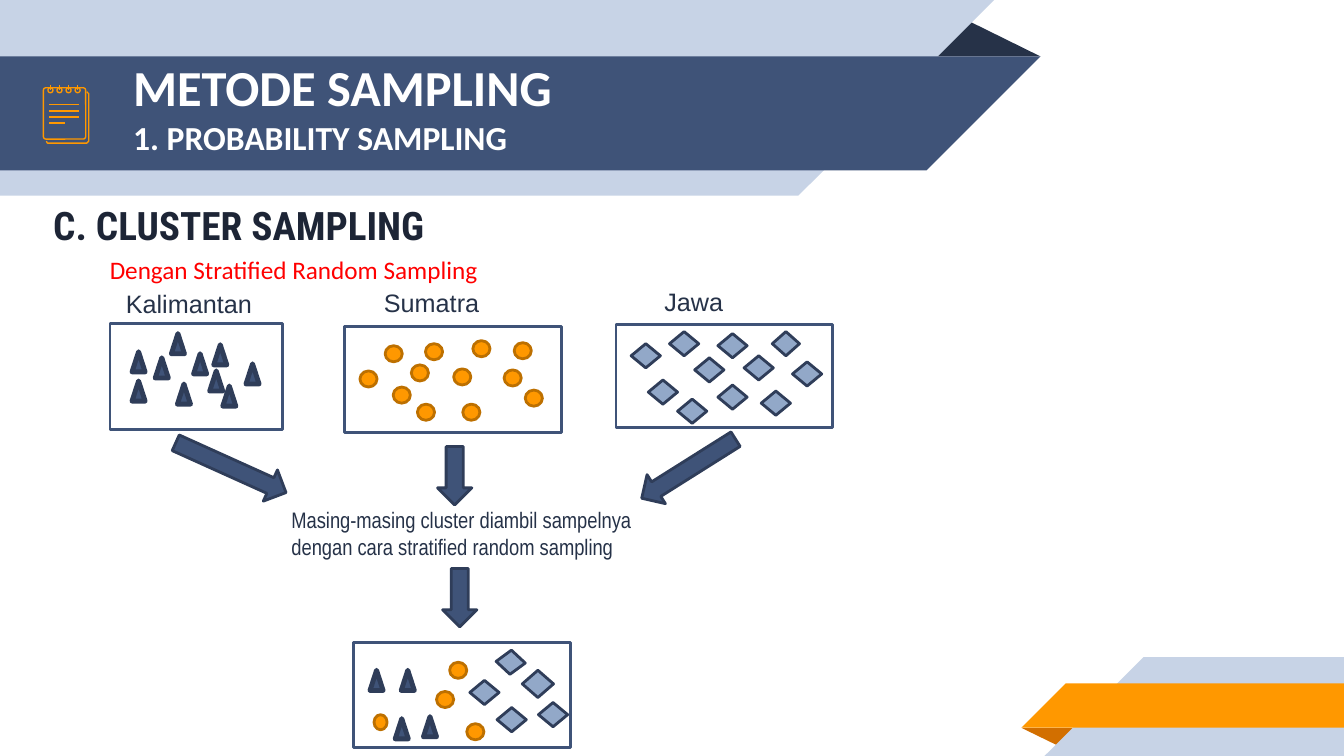
import pptx
import pptx.util
from pptx.dml.color import RGBColor
from pptx.enum.shapes import MSO_CONNECTOR, MSO_SHAPE
from pptx.enum.text import MSO_ANCHOR
from pptx.util import Inches, Pt
from lxml import etree

NAVY = RGBColor(0x3F, 0x53, 0x78)
NAVY_EDGE = RGBColor(0x2F, 0x3D, 0x59)
INK = RGBColor(0x26, 0x32, 0x48)
HEADING_INK = RGBColor(0x1D, 0x25, 0x36)
PALE = RGBColor(0xC7, 0xD3, 0xE6)
STEEL = RGBColor(0x92, 0xA8, 0xC8)
ORANGE = RGBColor(0xFF, 0x98, 0x00)
ORANGE_EDGE = RGBColor(0xBD, 0x70, 0x00)
ORANGE_FOLD = RGBColor(0xD2, 0x6F, 0x00)
RED = RGBColor(0xFF, 0x00, 0x00)
WHITE = RGBColor(0xFF, 0xFF, 0xFF)

TITLE = [("METODE SAMPLING", 36), ("1. PROBABILITY SAMPLING", 24)]
HEADING = "C. CLUSTER SAMPLING"
SUBHEADING = "Dengan Stratified Random Sampling"
EXPLANATION = ("Masing-masing cluster diambil sampelnya "
               "dengan cara stratified random sampling")

# Ribbons: colour and corner points
RIBBONS = [
    (INK, [(9.18, 0.56), (9.55, 0.18), (10.32, 0.56)]),
    (PALE, [(0, 0), (9.86, 0), (7.92, 1.94), (0, 1.94)]),
    (NAVY, [(0, 0.56), (10.32, 0.56), (9.19, 1.69), (0, 1.69)]),
    (ORANGE_FOLD, [(10.13, 7.22), (10.7, 7.22), (10.52, 7.41)]),
    (PALE, [(11.34, 6.52), (13.33, 6.52), (13.33, 7.5), (10.36, 7.5)]),
    (ORANGE, [(10.57, 6.78), (13.33, 6.78), (13.33, 7.22), (10.13, 7.22)]),
]

# Member kinds: shape, fill, edge, edge width, usual size
MEMBER_KINDS = {
    "triangle": (MSO_SHAPE.ISOSCELES_TRIANGLE, NAVY, NAVY_EDGE, 3.5, (0.13, 0.2)),
    "circle": (MSO_SHAPE.OVAL, ORANGE, ORANGE_EDGE, 2, (0.17, 0.16)),
    "diamond": (MSO_SHAPE.DIAMOND, STEEL, NAVY_EDGE, 2, (0.29, 0.24)),
}

# Clusters: label, label place, frame, members as (left, top[, width, height[, turn]])
CLUSTERS = [
    ("Kalimantan", (1.15, 2.81), (1.09, 3.21, 1.71, 1.05), {
        "triangle": [(1.76, 3.81), (1.92, 3.51), (2.12, 3.42), (1.31, 3.78),
                     (1.7, 3.31), (2.21, 3.83), (2.44, 3.61), (1.54, 3.55),
                     (2.08, 3.68), (1.31, 3.49)]}),
    ("Sumatra", (3.71, 2.8), (3.42, 3.24, 2.15, 1.05), {
        "circle": [(4.5, 3.66), (4.22, 3.41), (5, 3.67), (4.69, 3.38),
                   (5.1, 3.4), (3.9, 3.84), (3.57, 3.68), (3.82, 3.43),
                   (4.08, 3.62), (5.21, 3.87), (4.14, 4.01), (4.59, 4.01)]}),
    ("Jawa", (6.49, 2.79), (6.11, 3.22, 2.15, 1.02), {
        "diamond": [(6.64, 3.29), (7.12, 3.82), (7.55, 3.88), (6.26, 3.41),
                    (6.43, 3.77), (6.89, 3.55), (6.72, 3.96), (7.38, 3.53),
                    (7.12, 3.31), (7.66, 3.29, 0.27, 0.24), (7.86, 3.59)]}),
    (None, None, (3.51, 6.37, 2.15, 1.05), {
        "triangle": [(3.98, 6.65), (3.92, 7.13), (3.67, 6.65), (4.2, 7.11)],
        "circle": [(4.63, 7.18), (4.46, 6.57), (4.33, 6.86),
                   (3.71, 7.09, 0.13, 0.15)],
        "diamond": [(4.93, 7.02), (4.66, 6.75), (5.18, 6.65, 0.31, 0.27),
                    (5.34, 6.97), (4.92, 6.45, 0.29, 0.24, 3.3)]}),
]

# Arrows: box and turn
ARROWS = [
    ((1.69, 4.47, 1.2, 0.34), 24.3),
    ((4.22, 4.55, 0.58, 0.34), 90),
    ((6.28, 4.48, 1.1, 0.34), 147.8),
    ((4.27, 5.76, 0.58, 0.34), 90),
]

# Notepad icon
BACK_PAGE = [(0.46, 1.4), (0.47, 1.42), (0.49, 1.42), (0.86, 1.42),
             (0.88, 1.4), (0.88, 0.93), (0.86, 0.91)]
FRONT_PAGE = (0.43, 0.87, 0.42, 0.51)
WRITING_ENDS = [0.78, 0.78, 0.78, 0.64]
RING_COUNT, RING_GAP, RING_SIZE = 4, 0.09, 0.05
ICON_LINE = 0.96

prs = pptx.Presentation()
prs.slide_width, prs.slide_height = Inches(13.33), Inches(7.5)
slide = prs.slides.add_slide(prs.slide_layouts[6])
shapes = slide.shapes


def paint(shape, fill=None, edge=None, width=1, turn=0):
    shape.shadow.inherit = False
    if fill is None:
        shape.fill.background()
    else:
        shape.fill.solid()
        shape.fill.fore_color.rgb = fill
    if edge is None:
        shape.line.fill.background()
    else:
        shape.line.color.rgb = edge
        shape.line.width = Pt(width)
    shape.rotation = turn
    return shape


def add_preset(kind, box, **look):
    return paint(shapes.add_shape(kind, *map(Inches, box)), **look)


def add_outline(points, close=True, **look):
    corners = [(Inches(x), Inches(y)) for x, y in points]
    builder = shapes.build_freeform(*corners[0])
    builder.add_line_segments(corners[1:], close=close)
    return paint(builder.convert_to_shape(), **look)


def add_icon_line(x1, y1, x2, y2):
    stroke = shapes.add_connector(MSO_CONNECTOR.STRAIGHT,
                                  *map(Inches, (x1, y1, x2, y2)))
    stroke.line.color.rgb = ORANGE
    stroke.line.width = Pt(ICON_LINE)
    etree.SubElement(stroke._element.spPr, pptx.oxml.ns.qn("a:effectLst"))


def add_text(text, box, size=18, font="Arial", color=INK, bold=False,
             anchor=MSO_ANCHOR.TOP, insets=(0.1, 0.05, 0.1, 0.05)):
    """Text is one string, or a list of (line, size) joined by line breaks."""
    frame = shapes.add_textbox(*map(Inches, box)).text_frame
    frame.word_wrap = True
    frame.vertical_anchor = anchor
    (frame.margin_left, frame.margin_top,
     frame.margin_right, frame.margin_bottom) = map(Inches, insets)
    paragraph = frame.paragraphs[0]
    lines = [(text, size)] if isinstance(text, str) else text
    for index, (line, line_size) in enumerate(lines):
        if index:
            paragraph.add_line_break()
        run = paragraph.add_run()
        run.text = line
        run.font.size = Pt(line_size)
        run.font.name = font
        run.font.bold = bold
        run.font.color.rgb = color


def add_notepad():
    look = dict(edge=ORANGE, width=ICON_LINE)
    add_outline(BACK_PAGE, close=False, **look)
    page = add_preset(MSO_SHAPE.ROUNDED_RECTANGLE, FRONT_PAGE, **look)
    page.adjustments[0] = 0.06
    for row, end in enumerate(WRITING_ENDS):
        y = 1.04 + 0.06 * row
        add_icon_line(0.49, y, end, y)
    for ring in range(RING_COUNT):
        x = 0.5 + RING_GAP * ring
        add_preset(MSO_SHAPE.OVAL, (x - RING_SIZE / 2, 0.87, RING_SIZE, RING_SIZE), **look)
        add_icon_line(x, 0.84, x, 0.89)


def add_cluster(label, label_place, frame, members):
    add_preset(MSO_SHAPE.RECTANGLE, frame, fill=WHITE, edge=NAVY, width=2)
    for kind, places in members.items():
        preset, fill, edge, width, usual_size = MEMBER_KINDS[kind]
        for left, top, *special in places:
            size = special[:2] or usual_size
            add_preset(preset, (left, top, *size), fill=fill, edge=edge,
                       width=width, turn=sum(special[2:]))
    if label:
        add_text(label, (*label_place, 1.54, 0.4))


for color, corners in RIBBONS:
    add_outline(corners, fill=color)
add_text(TITLE, (1.19, 0.57, 7.67, 0.97), font="Calibri", color=WHITE, bold=True,
         anchor=MSO_ANCHOR.MIDDLE, insets=(0.13,) * 4)
add_notepad()
add_text(HEADING, (0.43, 1.92, 12.4, 0.63), size=28, font="Roboto Condensed",
         color=HEADING_INK, bold=True, anchor=MSO_ANCHOR.MIDDLE, insets=(0.1,) * 4)
add_text(EXPLANATION, (2.64, 4.92, 4.11, 0.68), size=16, font="Arial Narrow",
         insets=(0.25, 0.1, 0.1, 0.1))
for cluster in CLUSTERS:
    add_cluster(*cluster)
for box, turn in ARROWS:
    add_preset(MSO_SHAPE.RIGHT_ARROW, box, fill=NAVY, edge=NAVY_EDGE, width=2, turn=turn)
add_text(SUBHEADING, (0.99, 2.47, 4.82, 0.4), font="Calibri", color=RED)

prs.save("out.pptx")
